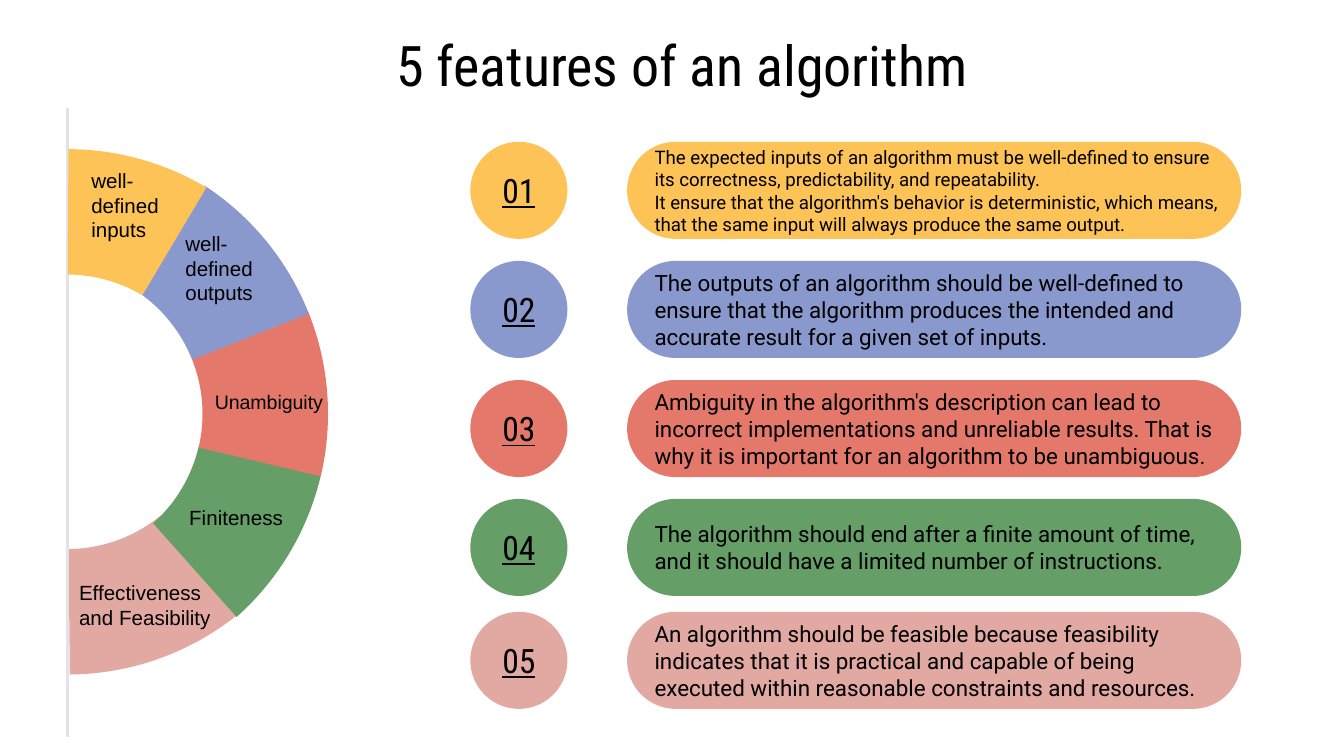
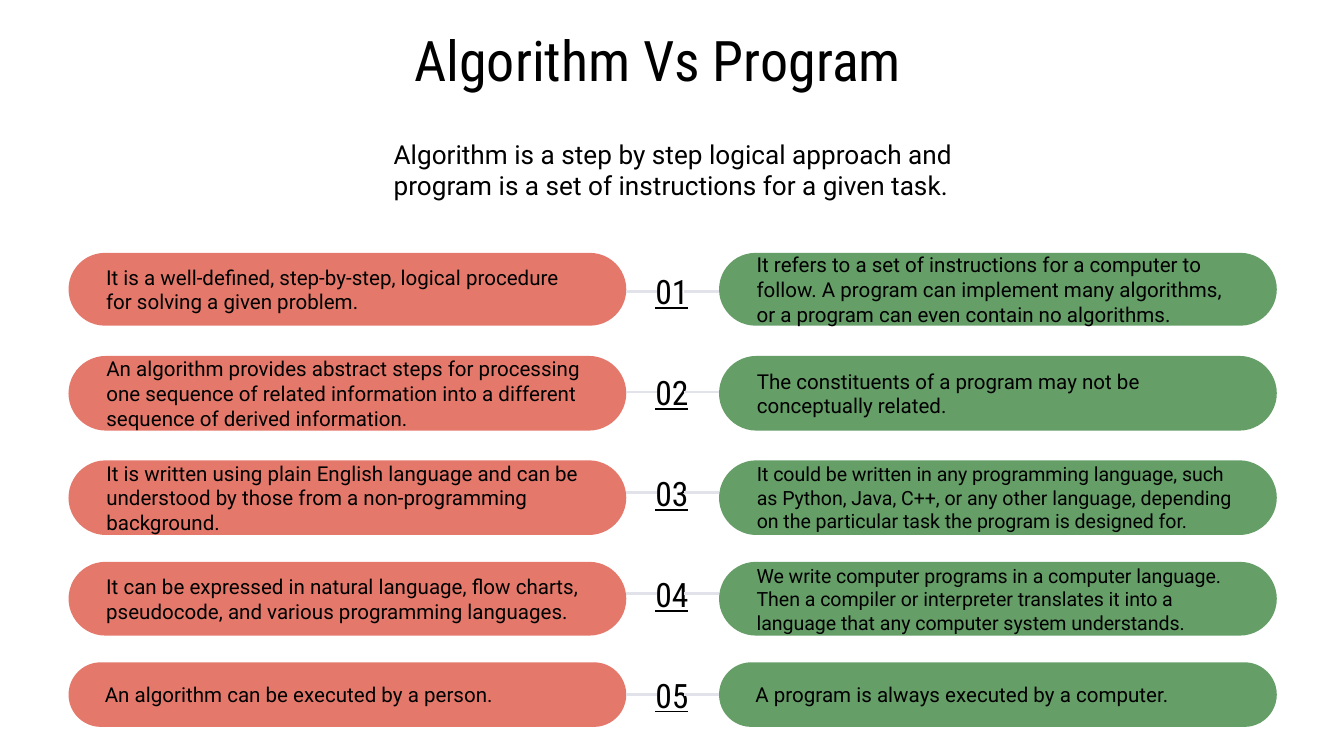
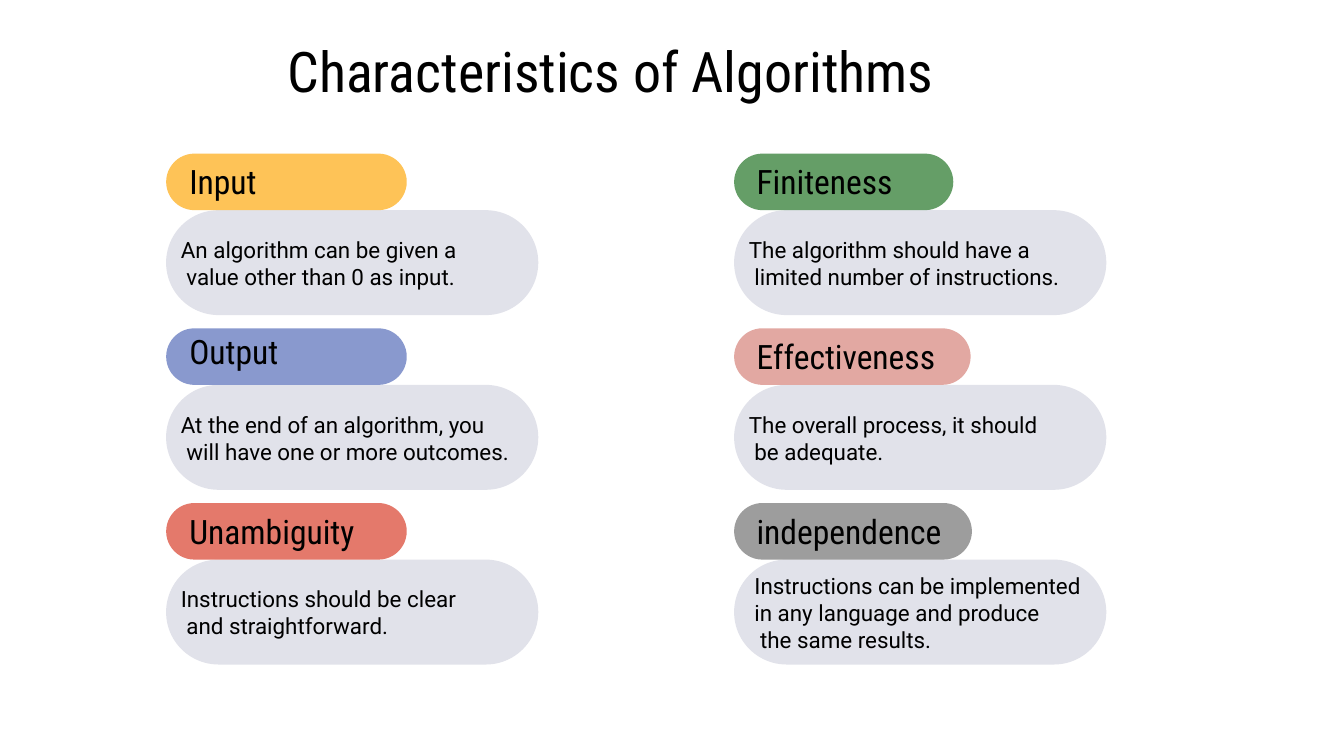
import pptx
import pptx.util
import pptx.dml.color
import pptx.enum.shapes
import pptx.enum.text
import pptx.oxml.xmlchemy
from dataclasses import dataclass

Pt = pptx.util.Pt
SHAPE = pptx.enum.shapes.MSO_SHAPE
ANCHOR = pptx.enum.text.MSO_ANCHOR
ALIGN = pptx.enum.text.PP_ALIGN


@dataclass(frozen=True)
class Theme:
    yellow: str = "FEC357"
    blue: str = "8999CE"
    red: str = "E4796B"
    green: str = "659E67"
    pink: str = "E2A8A2"
    gray: str = "595959"
    pale: str = "E1E2EA"
    ink: str = "000000"
    heading_font: str = "Roboto Condensed"
    body_font: str = "Roboto"
    label_font: str = "Arial"
    title: float = 30
    heading: float = 18
    intro: float = 14
    body: float = 12
    label: float = 11
    tight: float = 10.5
    small: float = 10
    rule: float = 1.5


T = Theme()
INSET = 7.2
PADDED = (INSET, INSET, INSET, INSET)
PLAIN = (INSET, 3.6, INSET, 3.6)

FEATURES = [
    (T.yellow, 76, T.small, [
        "The expected inputs of an algorithm must be well-defined to ensure its correctness, "
        "predictability, and repeatability.",
        "It ensure that the algorithm's behavior is deterministic, which means, that the same "
        "input will always produce the same output."]),
    (T.blue, 139.8, T.body, [
        "The outputs of an algorithm should be well-defined to ensure that the algorithm "
        "produces the intended and accurate result for a given set of inputs."]),
    (T.red, 203.6, T.body, [
        "Ambiguity in the algorithm's description can lead to incorrect implementations and "
        "unreliable results. That is why it is important for an algorithm to be unambiguous."]),
    (T.green, 267.3, T.body, [
        "The algorithm should end after a finite amount of time, and it should have a limited "
        "number of instructions."]),
    (T.pink, 327.8, T.body, [
        "An algorithm should be feasible because feasibility indicates that it is practical and "
        "capable of being executed within reasonable constraints and resources."]),
]

# color, left, top, rotation, start angle, end angle
ARCS = [
    (T.pink, -110.2, 69.1, 90, 321.22, 359.44),
    (T.green, -116.6, 75.2, 103.7, 269.41, 304.63),
    (T.red, -116.6, 75.6, 68.6, 269.41, 304.63),
    (T.blue, -116.6, 75.6, 33.8, 269.41, 304.63),
    (T.yellow, -110.2, 79.9, 0, 270.3, 300.74),
]

ARC_LABELS = [
    ("well-defined inputs", (41.8, 86.4, 62, 47.5), T.label),
    ("well-defined outputs", (92.2, 120.2, 62, 47.5), T.label),
    ("Unambiguity", (108, 205.2, 82, 20), T.tight),
    ("Finiteness", (94.3, 267.1, 67.7, 21), T.label),
    ("Effectiveness and Feasibility", (35.3, 307.4, 86.4, 34), T.label),
]

INTRO = ("Algorithm is a step by step logical approach and program is a set of instructions "
         "for a given task.")

# top, height, algorithm text, program text, program text size
COMPARISON = [
    (135.5, 39, "It is a well-defined, step-by-step, logical procedure for solving a given problem.",
     "It refers to a set of instructions for a computer to follow. A program can implement many "
     "algorithms, or a program can even contain no algorithms.", T.label),
    (190.7, 40, "An algorithm provides abstract steps for processing one sequence of related "
     "information into a different sequence of derived information.",
     "The constituents of a program may not be conceptually related.", T.label),
    (246.6, 40, "It is written using plain English language and can be understood by those from "
     "a non-programming background.",
     "It could be written in any programming language, such as Python, Java, C++, or any other "
     "language, depending on the particular task the program is designed for.", T.tight),
    (301, 39.5, "It can be expressed in natural language, flow charts, pseudocode, and various "
     "programming languages.",
     "We write computer programs in a computer language. Then a compiler or interpreter "
     "translates it into a language that any computer system understands.", T.tight),
    (354.8, 34.6, "An algorithm can be executed by a person.",
     "A program is always executed by a computer.", T.label),
]

# column left, heading left, cards: name, color, pill width, heading top, lines with indents
CHARACTERISTICS = [
    (89, 94.3, [
        ("Input", T.yellow, 128.9, 88.6,
         [("An algorithm can be given a", 9), ("value other than 0 as input.", 12)]),
        ("Output", T.blue, 128.9, 180,
         [("At the end of an algorithm, you", 9), ("will have one or more outcomes.", 12)]),
        ("Unambiguity", T.red, 128.9, 276.5,
         [("Instructions should be clear", 9), ("and straightforward.", 12)]),
    ]),
    (393.3, 398.2, [
        ("Finiteness", T.green, 117.4, 88.6,
         [("The algorithm should have a", 9), ("limited number of instructions.", 12)]),
        ("Effectiveness", T.pink, 126.7, 182.2,
         [("The overall process, it should", 9), ("be adequate.", 12)]),
        ("independence", T.gray, 127.4, 276.5,
         [("Instructions can be implemented", 12), ("in any language and produce", 12),
          ("the same results.", 15)]),
    ]),
]


def rgb(color):
    return pptx.dml.color.RGBColor.from_string(color)


def write(sp, lines, size, font, insets=PADDED, align=ALIGN.LEFT, anchor=ANCHOR.MIDDLE,
          underline=None):
    tf = sp.text_frame
    tf.text = "\n".join(lines)
    tf.word_wrap = True
    tf.auto_size = pptx.enum.text.MSO_AUTO_SIZE.NONE
    tf.vertical_anchor = anchor
    tf.margin_left, tf.margin_top, tf.margin_right, tf.margin_bottom = map(Pt, insets)
    for p in tf.paragraphs:
        p.alignment = align
        for r in p.runs:
            r.font.size, r.font.name, r.font.underline = Pt(size), font, underline
            r.font.color.rgb = rgb(T.ink)


def add_shape(slide, kind, box, color):
    sp = slide.shapes.add_shape(kind, *map(Pt, box))
    sp.shadow.inherit = False
    sp.fill.solid()
    sp.fill.fore_color.rgb = rgb(color)
    sp.line.fill.background()
    return sp


def add_pill(slide, box, color):
    sp = add_shape(slide, SHAPE.ROUNDED_RECTANGLE, box, color)
    sp.adjustments[0] = 0.5
    return sp


def add_text(shapes, box, lines, size, font, **style):
    sp = shapes.add_textbox(*map(Pt, box))
    write(sp, lines, size, font, **style)
    return sp


def add_growing_text(slide, box, text, size, font):
    sp = add_text(slide.shapes, box, [text], size, font, insets=PLAIN, anchor=ANCHOR.TOP)
    sp.text_frame.auto_size = pptx.enum.text.MSO_AUTO_SIZE.SHAPE_TO_FIT_TEXT


def add_line(slide, x1, y1, x2, y2):
    line = slide.shapes.add_connector(pptx.enum.shapes.MSO_CONNECTOR.STRAIGHT,
                                      *map(Pt, (x1, y1, x2, y2)))
    line.line.color.rgb = rgb(T.pale)
    line.line.width = Pt(T.rule)
    line._element.spPr.append(pptx.oxml.xmlchemy.OxmlElement("a:effectLst"))


def set_alpha(sp, percent):
    alpha = pptx.oxml.xmlchemy.OxmlElement("a:alpha")
    alpha.set("val", str(percent * 1000))
    sp._element.xpath("./p:spPr/a:solidFill/a:srgbClr")[0].append(alpha)


def add_slide(prs, title, left, top):
    slide = prs.slides.add_slide(prs.slide_layouts[5])
    sp = slide.shapes.title
    sp.left, sp.top, sp.width, sp.height = map(Pt, (left, top, 607, 30))
    write(sp, [title], T.title, T.heading_font, align=ALIGN.CENTER)
    return slide


def build_features(prs):
    slide = add_slide(prs, "5 features of an algorithm", 62, 19.6)
    for i, (color, left, top, rotation, start, end) in enumerate(ARCS):
        sp = add_shape(slide, SHAPE.BLOCK_ARC, (left, top, 292.3, 292.3), color)
        sp.rotation = rotation
        sp.adjustments[0], sp.adjustments[1] = start * 0.6, end * 0.6
        sp.adjustments[2] = 0.23
        if i == 0:
            add_line(slide, 36, 57.8, 36, 394.8)
    for text, box, size in ARC_LABELS:
        add_growing_text(slide, box, text, size, T.label_font)
    for number, (color, top, size, lines) in enumerate(FEATURES, 1):
        sp = add_shape(slide, SHAPE.OVAL, (252, top, 52, 52), color)
        write(sp, [f"{number:02}"], T.heading, T.heading_font, align=ALIGN.CENTER, underline=True)
        sp = add_pill(slide, (336, top, 329, 52), color)
        write(sp, lines, size, T.body_font, insets=(INSET, INSET, 0, INSET))


def build_comparison(prs):
    slide = add_slide(prs, "Algorithm Vs Program", 49, 16.6)
    add_growing_text(slide, (203.8, 70.6, 318.2, 41), INTRO, T.intro, T.body_font)
    for i, (top, height, algorithm, program, size) in enumerate(COMPARISON):
        sides = [(36.7, T.red, algorithm, T.label), (385.2, T.green, program, size)]
        for left, color, text, text_size in sides:
            sp = add_pill(slide, (left, top, 298.8, height), color)
            write(sp, [text], text_size, T.body_font, insets=(14.4, INSET, 14.4, INSET))
        add_text(slide.shapes, (344.9, 138.2 + 54 * i, 30.2, 36), [f"{i + 1:02}"], T.heading,
                 T.heading_font, insets=(0, INSET, 0, INSET), align=ALIGN.CENTER, underline=True)
        y = 156 + 54 * i
        add_line(slide, 352, y, 335.5, y)
        add_line(slide, 385.2, y, 366.5, y)


def build_characteristics(prs):
    slide = add_slide(prs, "Characteristics of Algorithms", 23.8, 22.4)
    for left, heading_left, cards in CHARACTERISTICS:
        for i, (name, color, width, heading_top, lines) in enumerate(cards):
            top = 82.3 + 93.6 * i
            card_top = top + 30.3
            add_pill(slide, (left, card_top, 199.4, 56.2), T.pale)
            pill = add_pill(slide, (left, top, width, 30.3), color)
            if color == T.gray:
                set_alpha(pill, 59)
            group = slide.shapes.add_group_shape()
            body = add_text(group.shapes, (left - 8.2, card_top, 214.6, 56.5),
                            [text for text, indent in lines], T.body, T.body_font)
            for p, (text, indent) in zip(body.text_frame.paragraphs, lines):
                p._p.get_or_add_pPr().set("marL", str(Pt(indent)))
            add_text(group.shapes, (heading_left, heading_top, 121.7, 16.6), [name],
                     T.heading, T.heading_font)


def main():
    prs = pptx.Presentation()
    prs.slide_width, prs.slide_height = Pt(720), Pt(405)
    build_features(prs)
    build_comparison(prs)
    build_characteristics(prs)
    prs.save("out.pptx")


if __name__ == "__main__":
    main()
